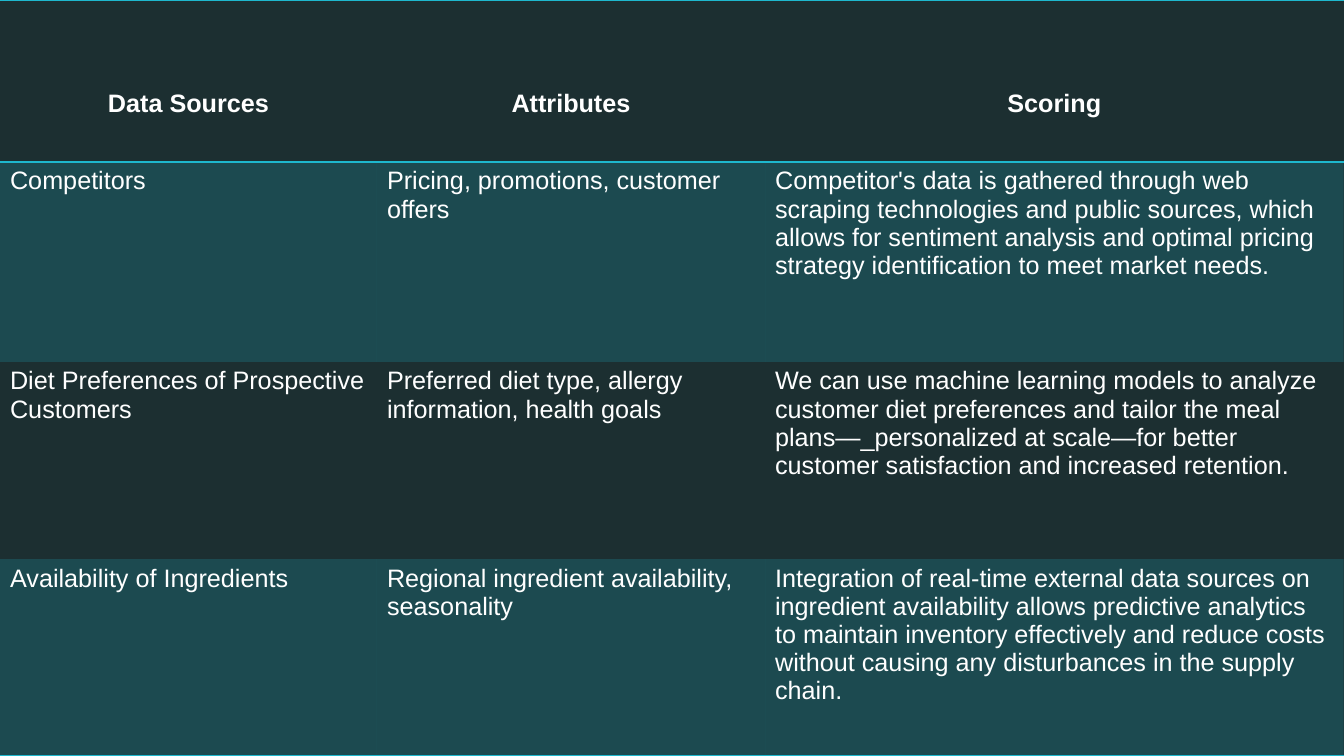
"""Build a slide with a full-page table of data sources, attributes and scoring."""
from lxml.etree import SubElement
from pptx import Presentation
from pptx.dml.color import RGBColor
from pptx.enum.text import PP_ALIGN
from pptx.oxml.ns import qn
from pptx.util import Cm, Pt

BACKGROUND = RGBColor(0x1C, 0x2F, 0x31)
ACCENT = RGBColor(0x1E, 0xB8, 0xCE)
WHITE = RGBColor(0xFF, 0xFF, 0xFF)
NO_STYLE_NO_GRID = "{2D5ABB26-0587-4C30-8999-92F81FD0307C}"

COLUMN_WIDTHS = [9.5, 9.78, 14.58]
ROW_HEIGHTS = [4.08, 5.04, 4.97, 4.96]
ROWS = [
    ["Data Sources", "Attributes", "Scoring"],
    [
        "Competitors",
        "Pricing, promotions, customer offers",
        "Competitor's data is gathered through web scraping technologies and public "
        "sources, which allows for sentiment analysis and optimal pricing strategy "
        "identification to meet market needs.",
    ],
    [
        "Diet Preferences of Prospective Customers",
        "Preferred diet type, allergy information, health goals",
        "We can use machine learning models to analyze customer diet preferences and "
        "tailor the meal plans—_personalized at scale—for better customer "
        "satisfaction and increased retention.",
    ],
    [
        "Availability of Ingredients",
        "Regional ingredient availability, seasonality",
        "Integration of real-time external data sources on ingredient availability "
        "allows predictive analytics to maintain inventory effectively and reduce "
        "costs without causing any disturbances in the supply chain.",
    ],
]
BORDERS = {0: ["a:lnT", "a:lnB"], len(ROWS) - 1: ["a:lnB"]}


def add_border(cell, side):
    line = SubElement(cell._tc.get_or_add_tcPr(), qn(side), w=str(Pt(1)))
    fill = SubElement(line, qn("a:solidFill"))
    SubElement(fill, qn("a:srgbClr"), val=str(ACCENT))


def fill_with_tint(cell, color, percent):
    cell.fill.solid()
    cell.fill.fore_color.rgb = color
    tint = cell._tc.tcPr.find(qn("a:solidFill")).find(qn("a:srgbClr"))
    SubElement(tint, qn("a:alpha"), val=str(percent * 1000))


deck = Presentation()
deck.slide_width = Cm(33.87)
deck.slide_height = Cm(19.05)
page = deck.slides.add_slide(deck.slide_layouts[6])
page.background.fill.solid()
page.background.fill.fore_color.rgb = BACKGROUND

frame = page.shapes.add_table(
    len(ROWS), len(COLUMN_WIDTHS), 0, 0, deck.slide_width, deck.slide_height
)
table = frame.table
table.horz_banding = False
table._tbl.tblPr.find(qn("a:tableStyleId")).text = NO_STYLE_NO_GRID
for column, width in zip(table.columns, COLUMN_WIDTHS):
    column.width = Cm(width)
for row, height in zip(table.rows, ROW_HEIGHTS):
    row.height = Cm(height)

for row_index, texts in enumerate(ROWS):
    is_header = row_index == 0
    for column_index, text in enumerate(texts):
        cell = table.cell(row_index, column_index)
        for side in BORDERS.get(row_index, []):
            add_border(cell, side)
        if row_index % 2:
            fill_with_tint(cell, ACCENT, 20)
        else:
            cell.fill.background()
        if is_header:
            cell.margin_top = Cm(2.26)
        cell.text_frame.text = text
        para = cell.text_frame.paragraphs[0]
        para.alignment = PP_ALIGN.CENTER if is_header else PP_ALIGN.LEFT
        font = para.runs[0].font
        font.name = "Arial"
        font.size = Pt(18)
        font.bold = is_header
        font.color.rgb = WHITE

deck.save("out.pptx")
